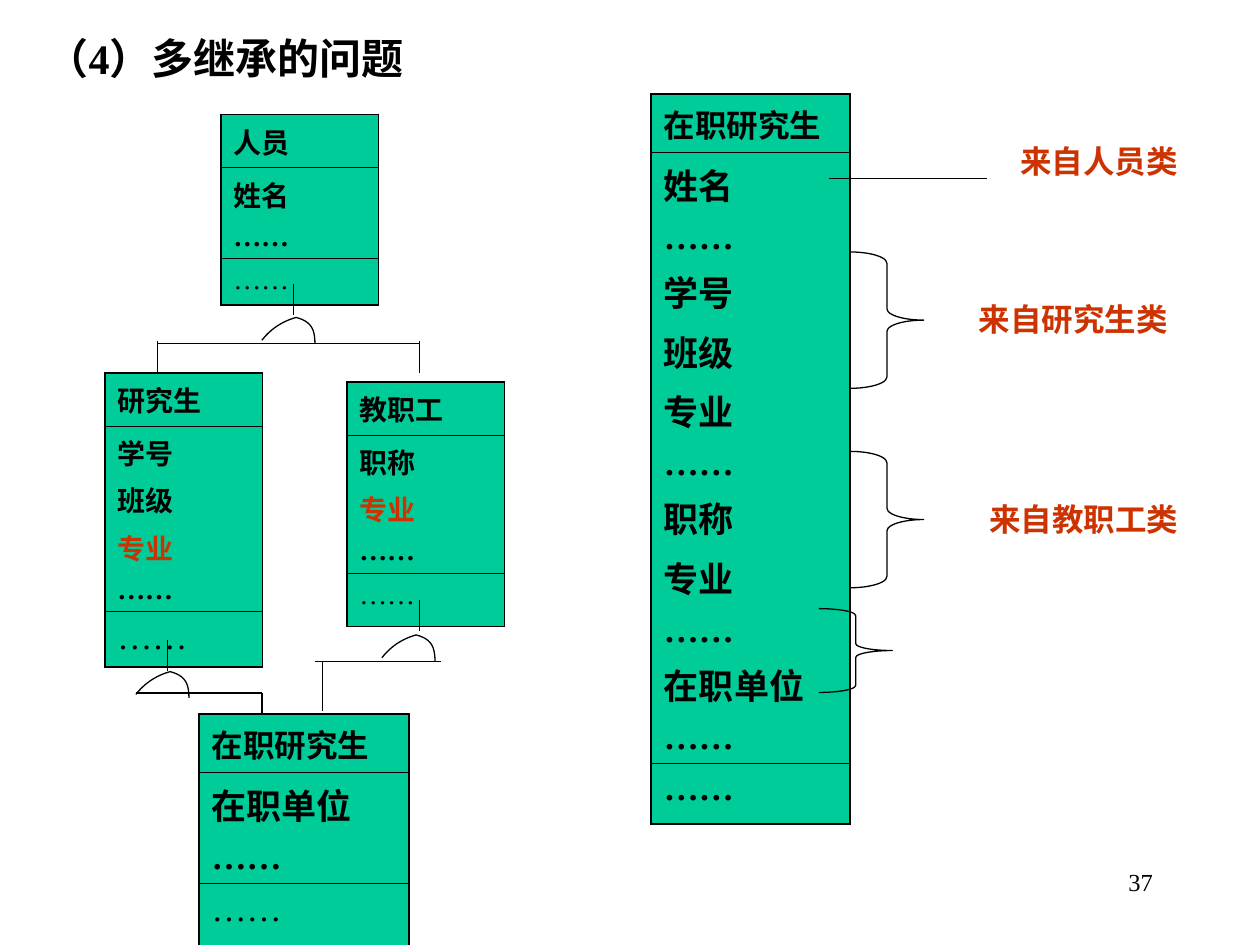
from lxml import etree
from pptx import Presentation
from pptx.dml.color import RGBColor
from pptx.enum import shapes, text
from pptx.oxml import ns
from pptx.util import Cm, Pt

BLACK = RGBColor(0x00, 0x00, 0x00)
GREEN = RGBColor(0x00, 0xCC, 0x99)
RED = RGBColor(0xCC, 0x33, 0x00)
FONT = "Times New Roman"
DOTS = "……"
THIN, THICK = 0.45, 1.08
CURVES = (
    ((0, 0.46), (0.18, 0.23), (0.41, 0.08), (0.69, 0)),
    ((0.69, 0), (0.99, 0.08), (1.07, 0.23), (1.07, 0.53)),
)


def write(para, words, size, color=BLACK, bold=True):
    run = para.add_run()
    run.text = words
    font = run.font
    font.name, font.size, font.bold = FONT, Pt(size), bold
    font.color.rgb = color


def label(slide, box, words, size, color=BLACK, bold=True, align=None):
    shape = slide.shapes.add_textbox(*map(Cm, box))
    frame = shape.text_frame
    frame.word_wrap = True
    para = frame.paragraphs[0]
    para.alignment = align
    write(para, words, size, color, bold)


def edge(cell, side, width):
    props = cell._tc.get_or_add_tcPr()
    line = etree.SubElement(props, ns.qn(f"a:ln{side}"), w=str(Pt(width)))
    fill = etree.SubElement(line, ns.qn("a:solidFill"))
    etree.SubElement(fill, ns.qn("a:srgbClr"), val=str(BLACK))


def entity(slide, box, rows):
    left, top, width = box
    high = sum(row[0] for row in rows)
    frame = slide.shapes.add_table(len(rows), 1, Cm(left), Cm(top), Cm(width), Cm(high))
    table = frame.table
    table.first_row = table.horz_banding = False
    last = len(rows) - 1
    for i, (height, size, bold, lines) in enumerate(rows):
        table.rows[i].height = Cm(height)
        cell = table.cell(i, 0)
        edge(cell, "L", THICK)
        edge(cell, "R", THICK)
        edge(cell, "T", THIN if i else THICK)
        edge(cell, "B", THIN if i < last else THICK)
        cell.fill.solid()
        cell.fill.fore_color.rgb = GREEN
        frame = cell.text_frame
        for j, (words, color) in enumerate(lines):
            para = frame.add_paragraph() if j else frame.paragraphs[0]
            if j:
                para.space_before = Pt(size / 4)
            write(para, words, size, color, bold)


def plain(*words):
    return [(word, BLACK) for word in words]


def stroke(slide, x1, y1, x2, y2):
    line = slide.shapes.add_connector(
        shapes.MSO_CONNECTOR.STRAIGHT, Cm(x1), Cm(y1), Cm(x2), Cm(y2))
    line.line.color.rgb = BLACK
    line.line.width = Pt(0.75)
    etree.SubElement(line._element.spPr, ns.qn("a:effectLst"))


def outline(shape):
    shape.shadow.inherit = False
    shape.fill.background()
    shape.line.color.rgb = BLACK
    shape.line.width = Pt(0.75)


def bezier(curve, t):
    parts = ((1 - t) ** 3, 3 * t * (1 - t) ** 2, 3 * t * t * (1 - t), t ** 3)
    return tuple(sum(k * point[axis] for k, point in zip(parts, curve)) for axis in (0, 1))


def arch(slide, left, top):
    dots = [bezier(curve, step / 12) for curve in CURVES for step in range(13)]
    dots = [(Cm(left + x), Cm(top + y)) for x, y in dots]
    form = slide.shapes.build_freeform(*dots[0])
    form.add_line_segments(dots[1:], close=False)
    outline(form.convert_to_shape())


def inherit(slide, box, stem, arc, bar, drops, lift=0):
    left, top, width, height = box
    level = top + bar
    stroke(slide, left + stem, top, left + stem, top + 0.63)
    arch(slide, left + arc[0], top + arc[1])
    stroke(slide, left, level, left + width, level)
    for drop in drops:
        stroke(slide, left + drop, level - lift, left + drop, top + height)


def brace(slide, box):
    shape = slide.shapes.add_shape(shapes.MSO_SHAPE.RIGHT_BRACE, *map(Cm, box))
    shape.adjustments[0] = box[3] / box[2] / 12
    shape.adjustments[1] = 0.5
    outline(shape)


def tree(slide):
    entity(slide, (4.45, 2.31, 3.18), [
        (0.94, 16, True, plain("人员")),
        (1.75, 16, True, plain("姓名", DOTS)),
        (0.94, 16, False, plain(DOTS))])
    inherit(slide, (3.18, 5.72, 5.28, 1.8), 2.74, (2.1, 0.68), 1.21, (0, 5.28), 0.05)
    entity(slide, (2.11, 7.52, 3.18), [
        (0.94, 16, True, plain("研究生")),
        (3.4, 16, True, plain("学号", "班级") + [("专业", RED), (DOTS, BLACK)]),
        (1.12, 20, False, plain(DOTS))])
    inherit(slide, (2.74, 12.9, 2.54, 1.5), 0.64, (0, 0.64), 1.07, (2.54,))
    entity(slide, (4.01, 14.4, 4.24), [
        (1.02, 18, True, plain("在职研究生")),
        (2.13, 20, True, plain("在职单位", DOTS)),
        (1.3, 20, False, plain(DOTS))])
    entity(slide, (6.99, 7.7, 3.18), [
        (0.94, 16, True, plain("教职工")),
        (2.57, 16, True, plain("职称") + [("专业", RED), (DOTS, BLACK)]),
        (1.07, 16, False, plain(DOTS))])
    inherit(slide, (6.35, 12.09, 2.54, 2.24), 2.11, (1.35, 0.71), 1.25, (0.15,))


def merged(slide, left, top):
    entity(slide, (left, top, 4.01), [
        (1.02, 18, True, plain("在职研究生")),
        (11.33, 20, True, plain("姓名", DOTS, "学号", "班级", "专业", DOTS,
                                "职称", "专业", DOTS, "在职单位", DOTS)),
        (1.22, 20, True, plain(DOTS))])
    for x, y, height in ((4.01, 3.18, 2.75), (4.01, 7.2, 2.75), (3.38, 10.37, 1.69)):
        brace(slide, (left + x, top + y, 1.48, height))
    stroke(slide, left + 3.59, top + 1.7, left + 6.77, top + 1.7)
    for x, y, width, words in (
            (7.19, 0.84, 4.24, "来自人员类"),
            (6.35, 4.02, 5.29, "来自研究生类"),
            (6.56, 8.05, 4.87, "来自教职工类")):
        label(slide, (left + x, top + y, width, 1.02), words, 18, RED)


def main():
    deck = Presentation()
    deck.slide_width, deck.slide_height = Cm(25.4), Cm(19.05)
    slide = deck.slides.add_slide(deck.slide_layouts[6])
    tree(slide)
    merged(slide, 13.13, 1.9)
    label(slide, (0.69, 0.53, 14.3, 1.27), "（4）多继承的问题", 24)
    label(slide, (18.2, 17.36, 5.29, 1.27), "37", 14, bold=False,
          align=text.PP_ALIGN.RIGHT)
    deck.save("out.pptx")


if __name__ == "__main__":
    main()
